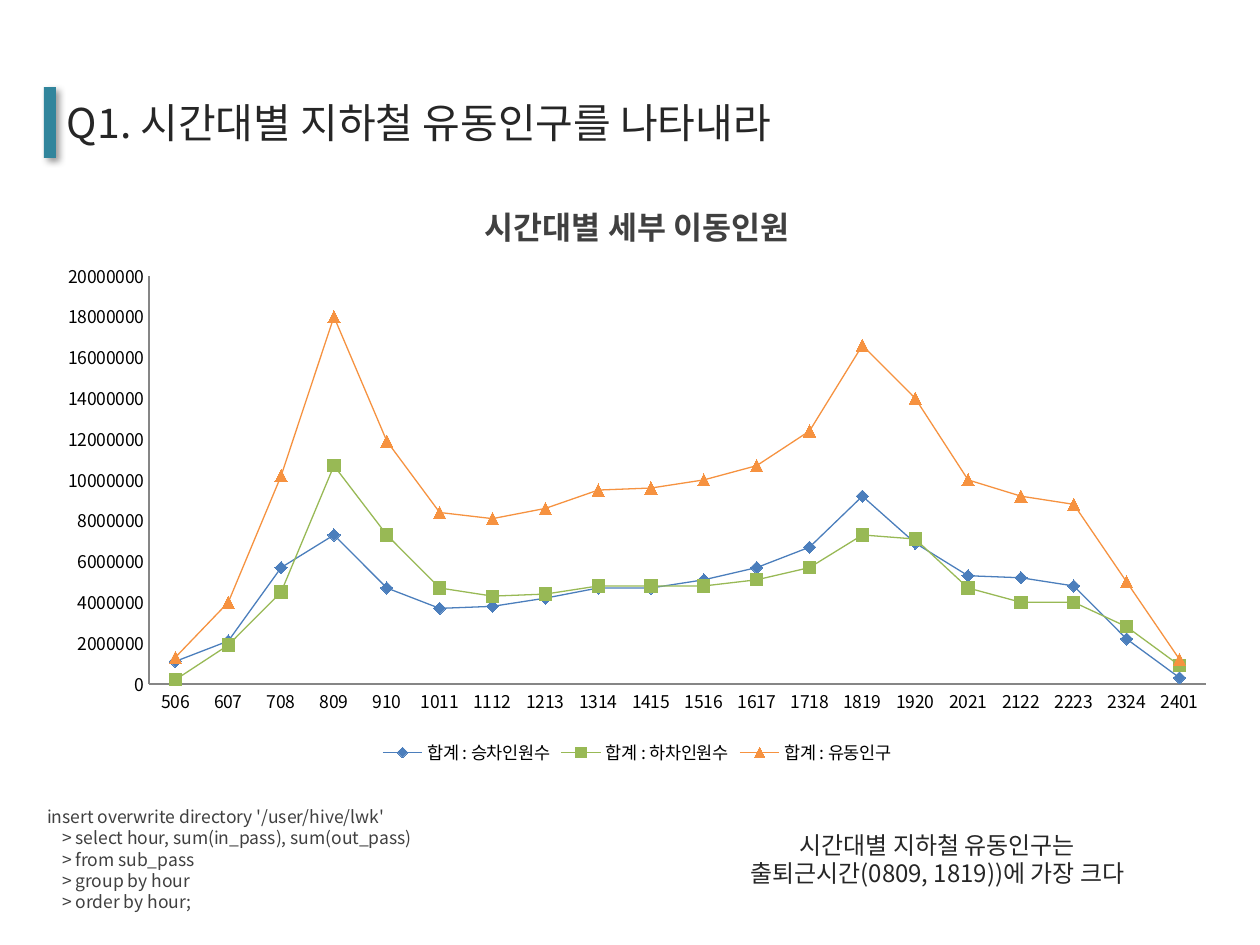
"""Build the slide on hourly subway passenger flow."""
from lxml import etree
from pptx import Presentation, util as u
from pptx.chart.data import CategoryChartData
from pptx.dml.color import RGBColor
from pptx.enum import chart as ch, shapes, text as tx
from pptx.oxml import ns

FONT = "Noto Sans CJK KR"
PX = 914400 / 126
HEADING = "Q1. 시간대별 지하철 유동인구를 나타내라"
CHART_TITLE = "시간대별 세부 이동인원"
FINDING = ["시간대별 지하철 유동인구는", "출퇴근시간(0809, 1819))에 가장 크다"]
QUERY = [
    "insert overwrite directory '/user/hive/lwk'",
    "> select hour, sum(in_pass), sum(out_pass)",
    "> from sub_pass",
    "> group by hour",
    "> order by hour;",
]
HOURS = ["506", "607", "708", "809", "910", "1011", "1112", "1213", "1314", "1415",
         "1516", "1617", "1718", "1819", "1920", "2021", "2122", "2223", "2324", "2401"]
UNIT = 100000
FLOWS = [
    ("합계 : 승차인원수", "4B7EBC", ch.XL_MARKER_STYLE.DIAMOND,
     [11, 21, 57, 73, 47, 37, 38, 42, 47, 47, 51, 57, 67, 92, 69, 53, 52, 48, 22, 3]),
    ("합계 : 하차인원수", "98B955", ch.XL_MARKER_STYLE.SQUARE,
     [2, 19, 45, 107, 73, 47, 43, 44, 48, 48, 48, 51, 57, 73, 71, 47, 40, 40, 28, 9]),
    ("합계 : 유동인구", "F69240", ch.XL_MARKER_STYLE.TRIANGLE,
     [13, 40, 102, 180, 119, 84, 81, 86, 95, 96, 100, 107, 124, 166, 140, 100, 92, 88, 50, 12]),
]
CHART_BOX = (44, 175, 1186, 595)
PLOT_BOX = (149, 276, 1057, 408)


def px(*lengths):
    return [u.Emu(round(length * PX)) for length in lengths]


def rgb(value):
    return RGBColor.from_string(value)


def style(font, size, color, bold=False):
    font.name, font.size, font.bold = FONT, u.Pt(size), bold
    font.color.rgb = rgb(color)


def add_text(slide, box, lines, size, color, align=tx.PP_ALIGN.LEFT,
             spacing=None, inset=12, indent=0):
    frame = slide.shapes.add_textbox(*px(*box)).text_frame
    frame.word_wrap = True
    frame.vertical_anchor = tx.MSO_ANCHOR.MIDDLE
    frame.margin_left = px(inset)[0]
    for index, line in enumerate(lines):
        paragraph = frame.add_paragraph() if index else frame.paragraphs[0]
        paragraph.alignment = align
        if spacing:
            paragraph.line_spacing = u.Pt(spacing)
        if index and indent:
            paragraph._p.get_or_add_pPr().set("marL", str(px(indent)[0]))
        run = paragraph.add_run()
        run.text = line
        style(run.font, size, color)
        etree.SubElement(run._r.get_or_add_rPr(), ns.qn("a:ea"), typeface=FONT)


def add_accent(slide):
    accent = slide.shapes.add_shape(shapes.MSO_SHAPE.RECTANGLE, *px(44, 87, 12, 71))
    accent.shadow.inherit = False
    accent.fill.solid()
    accent.fill.fore_color.rgb = rgb("31859C")
    accent.line.fill.background()
    effects = accent._element.spPr.find(ns.qn("a:effectLst"))
    shadow = etree.SubElement(effects, ns.qn("a:outerShdw"), blurRad=str(u.Pt(4)),
                              dist=str(u.Pt(3)), dir="2700000", algn="tl", rotWithShape="0")
    black = etree.SubElement(shadow, ns.qn("a:srgbClr"), val="000000")
    etree.SubElement(black, ns.qn("a:alpha"), val="40000")


def place_plot(chart):
    left, top, width, height = CHART_BOX
    x, y, w, h = PLOT_BOX
    area = chart._chartSpace.chart.plotArea
    for old in area.findall(ns.qn("c:layout")):
        area.remove(old)
    layout = etree.Element(ns.qn("c:layout"))
    area.insert(0, layout)
    manual = etree.SubElement(layout, ns.qn("c:manualLayout"))
    settings = [("layoutTarget", "inner"), ("xMode", "edge"), ("yMode", "edge"),
                ("x", (x - left) / width), ("y", (y - top) / height),
                ("w", w / width), ("h", h / height)]
    for tag, value in settings:
        etree.SubElement(manual, ns.qn("c:" + tag), val=str(value))


def add_flow_chart(slide):
    data = CategoryChartData(number_format="General")
    data.categories = HOURS
    for name, _, _, counts in FLOWS:
        data.add_series(name, [count * UNIT for count in counts])
    chart = slide.shapes.add_chart(ch.XL_CHART_TYPE.LINE_MARKERS, *px(*CHART_BOX), data).chart
    style(chart.font, 10, "000000")
    chart.has_title = True
    title = chart.chart_title.text_frame
    title.text = CHART_TITLE
    style(title.paragraphs[0].runs[0].font, 18, "404040", bold=True)
    chart.chart_title.include_in_layout = False
    chart.has_legend = True
    chart.legend.position = ch.XL_LEGEND_POSITION.BOTTOM
    chart.legend.include_in_layout = False
    for axis in (chart.category_axis, chart.value_axis):
        axis.major_tick_mark = axis.minor_tick_mark = ch.XL_TICK_MARK.NONE
        axis.has_major_gridlines = False
        axis.format.line.color.rgb = rgb("868686")
    chart.value_axis.minimum_scale = 0
    chart.value_axis.maximum_scale = 200 * UNIT
    chart.value_axis.major_unit = 20 * UNIT
    chart.plots[0].vary_by_categories = False
    for flow, (_, color, marker, _) in zip(chart.plots[0].series, FLOWS):
        flow.smooth = False
        flow.format.line.color.rgb = rgb(color)
        flow.format.line.width = u.Pt(0.75)
        flow.marker.style, flow.marker.size = marker, 7
        flow.marker.format.fill.solid()
        flow.marker.format.fill.fore_color.rgb = rgb(color)
        flow.marker.format.line.color.rgb = rgb(color)
    place_plot(chart)


deck = Presentation()
deck.slide_width, deck.slide_height = px(1260, 945)
slide = deck.slides.add_slide(deck.slide_layouts[6])
add_text(slide, (0, 71, 1260, 103), [HEADING], 23.4, "262626", inset=67)
add_accent(slide)
add_flow_chart(slide)
add_text(slide, (646, 800, 583, 118), FINDING, 13.7, "262626",
         align=tx.PP_ALIGN.CENTER, spacing=16)
add_text(slide, (35, 800, 562, 118), QUERY, 10, "404040", spacing=12.2, indent=15)
deck.save("out.pptx")
